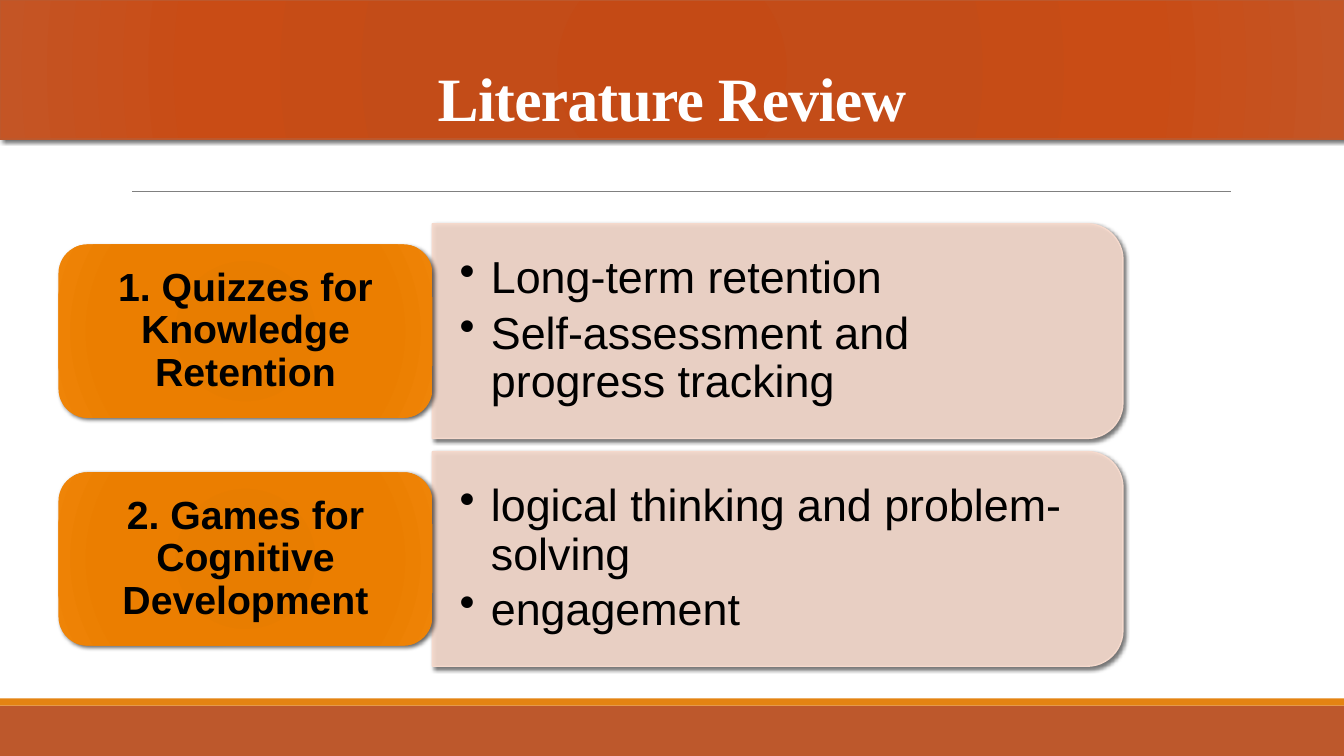
"""Build the Literature Review slide: two labelled topics with bullet panels."""
from dataclasses import dataclass

from lxml import etree
from pptx import Presentation
from pptx import util as u
from pptx.dml.color import RGBColor
from pptx.enum import shapes, text
from pptx.oxml import parse_xml
from pptx.oxml.ns import qn

NS = 'xmlns:a="http://schemas.openxmlformats.org/drawingml/2006/main"'


@dataclass(frozen=True)
class Theme:
    rust: str = "BD582C"
    orange: str = "E48312"
    rule: str = "808080"
    panel: str = "F5D9CC"
    ink: str = "000000"
    paper: str = "FFFFFF"
    banner: tuple = ("C44A15", "C34C18", "C94C15", "C45525")
    label: tuple = ("E57B00", "E87D00", "EB7E00", "EF8407")
    title_font: str = "Times New Roman"
    body_font: str = "Arial"
    title_size: int = 44
    label_size: int = 28
    bullet_size: int = 32


theme = Theme()
topics = [
    ("1. Quizzes for Knowledge Retention",
     ["Long-term retention", "Self-assessment and progress tracking"]),
    ("2. Games for Cognitive Development",
     ["logical thinking and problem-solving", "engagement"]),
]

prs = Presentation()
prs.slide_width, prs.slide_height = u.Inches(13.33), u.Inches(7.5)
col, row = prs.slide_width / 40, prs.slide_height / 30
s = prs.slides.add_slide(prs.slide_layouts[5])


def paint(sp, colors, alpha=100):
    """Give a shape a circular gradient or a translucent fill, and a soft shadow."""
    if len(colors) > 1:
        stops = "".join(f'<a:gs pos="{pos}000"><a:srgbClr val="{c}"/></a:gs>'
                        for pos, c in zip((0, 34, 70, 100), colors))
        fill = (f'<a:gradFill {NS}><a:gsLst>{stops}</a:gsLst><a:path path="circle">'
                '<a:fillToRect l="100000" t="100000" r="100000" b="100000"/></a:path></a:gradFill>')
    else:
        fill = (f'<a:solidFill {NS}><a:srgbClr val="{colors[0]}">'
                f'<a:alpha val="{alpha}000"/></a:srgbClr></a:solidFill>')
    props = sp._element.spPr
    props.append(parse_xml(fill))
    props.append(parse_xml(
        f'<a:effectLst {NS}><a:outerShdw blurRad="38100" dist="25400" dir="2700000" '
        f'rotWithShape="0"><a:srgbClr val="{theme.ink}"><a:alpha val="60000"/></a:srgbClr>'
        '</a:outerShdw></a:effectLst>'))


def write(sp, lines, font, size, color, bold, spacing, after, align, insets, anchor):
    """Fill a shape with formatted paragraphs."""
    tf = sp.text_frame
    tf.text = "\n".join(lines)
    tf.word_wrap, tf.auto_size, tf.vertical_anchor = True, text.MSO_AUTO_SIZE.NONE, anchor
    tf.margin_left = tf.margin_right = u.Inches(insets[0])
    tf.margin_top = tf.margin_bottom = u.Inches(insets[1])
    for p in tf.paragraphs:
        p.alignment, p.line_spacing = align, spacing
        p.space_before, p.space_after = u.Pt(0), u.Pt(after)
        for r in p.runs:
            r.font.name, r.font.size, r.font.bold = font, u.Pt(size), bold
            r.font.color.rgb = RGBColor.from_string(color)
    return tf


for top, height, color in ((28, 2, theme.rust), (27.72, 0.28, theme.orange)):
    band = s.shapes.add_shape(shapes.MSO_SHAPE.RECTANGLE, 0, int(top * row),
                              prs.slide_width, int(height * row))
    band.shadow.inherit = False
    band.fill.solid()
    band.fill.fore_color.rgb = RGBColor.from_string(color)
    band.line.fill.background()

rule = s.shapes.add_connector(shapes.MSO_CONNECTOR.STRAIGHT, int(3.93 * col), int(7.6 * row),
                              int(36.63 * col), int(7.6 * row))
rule.line.color.rgb = RGBColor.from_string(theme.rule)
rule.line.width = u.Pt(0.5)
etree.SubElement(rule._element.spPr, qn("a:effectLst"))

title = s.shapes.title
title.left, title.top, title.width, title.height = 0, 0, prs.slide_width, int(5.52 * row)
paint(title, theme.banner)
title.line.color.rgb = RGBColor.from_string(theme.rust)
title.line.width = u.Pt(1)
tf = write(title, ["Literature Review"], theme.title_font, theme.title_size, theme.paper, True,
           0.85, 0, text.PP_ALIGN.CENTER, (0.1, 0.05), text.MSO_ANCHOR.BOTTOM)
tf.paragraphs[0].runs[0].font._element.set("spc", "-50")
s.shapes._spTree.append(title._element)

label_left, label_w, label_h = 1.74 * col, 11.13 * col, 6.88 * row
panel_left, panel_w, panel_h = label_left + label_w, 20.55 * col, 8.52 * row
bullets_w, bullets_h = 20.25 * col, 7.68 * row

for i, (heading, points) in enumerate(topics):
    middle = (13.14 + 9.04 * i) * row

    panel = s.shapes.add_shape(shapes.MSO_SHAPE.ROUND_2_SAME_RECTANGLE,
                               int(panel_left + (panel_w - panel_h) / 2),
                               int(middle - panel_w / 2), int(panel_h), int(panel_w))
    panel.rotation = 90
    paint(panel, [theme.panel], 90)
    panel.line.color.rgb = RGBColor.from_string(theme.panel)
    panel.line.width = u.Pt(1)

    bullets = s.shapes.add_textbox(int(panel_left), int(middle - bullets_h / 2),
                                   int(bullets_w), int(bullets_h))
    tf = write(bullets, points, theme.body_font, theme.bullet_size, theme.ink, False,
               0.9, 0.15 * theme.bullet_size, text.PP_ALIGN.LEFT, (0.27, 0.14),
               text.MSO_ANCHOR.MIDDLE)
    for p in tf.paragraphs:
        pPr = p._p.get_or_add_pPr()
        pPr.set("marL", str(u.Inches(0.31)))
        pPr.set("indent", str(-u.Inches(0.31)))
        etree.SubElement(pPr, qn("a:buChar")).set("char", "•")

    label = s.shapes.add_shape(shapes.MSO_SHAPE.ROUNDED_RECTANGLE, int(label_left),
                               int(middle - label_h / 2), int(label_w), int(label_h))
    paint(label, theme.label)
    label.line.fill.background()
    write(label, [heading], theme.body_font, theme.label_size, theme.ink, True,
          0.9, 0, text.PP_ALIGN.CENTER, (0.12, 0.06), text.MSO_ANCHOR.MIDDLE)

prs.save("out.pptx")
